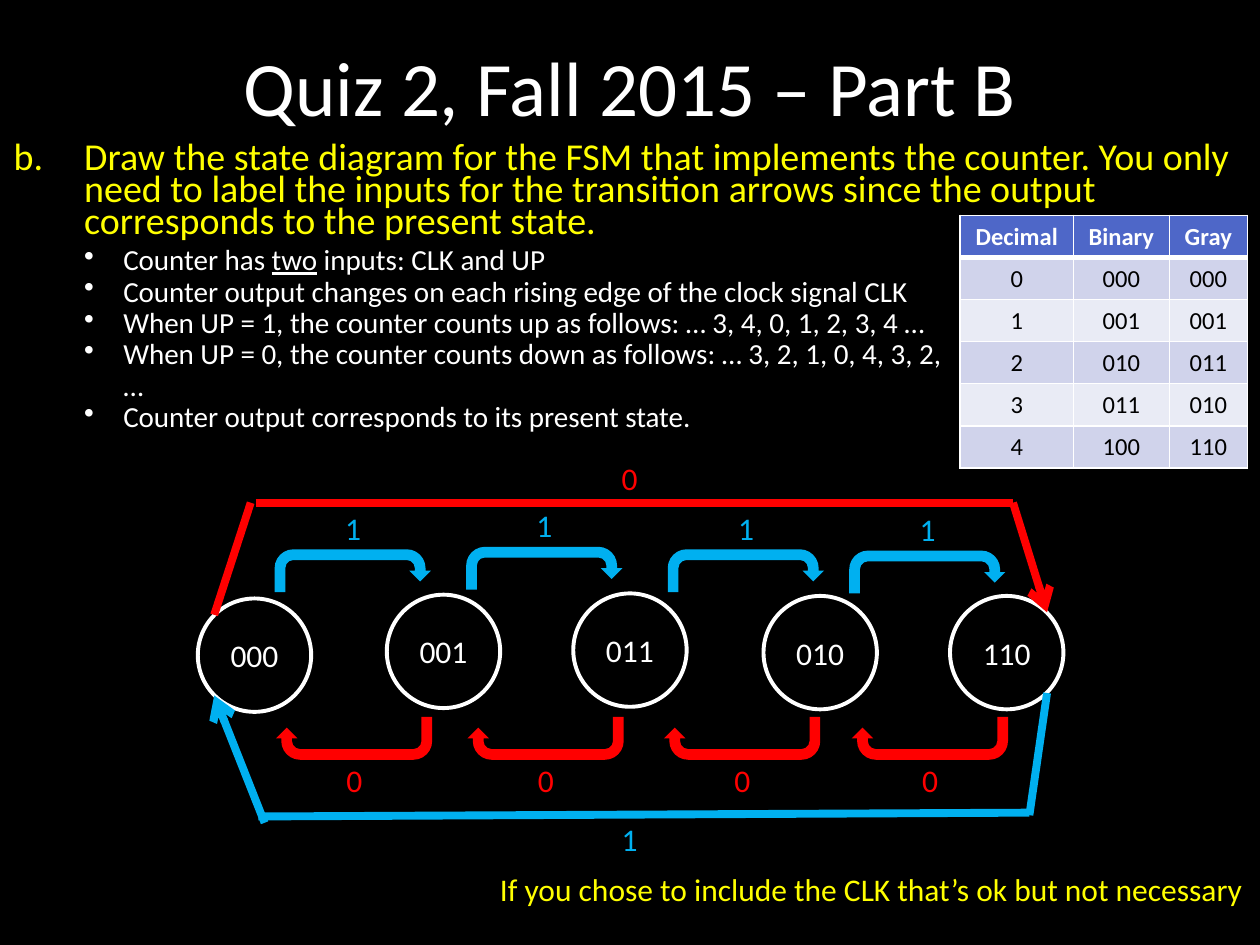
from lxml import etree
from pptx import Presentation
from pptx import util as u
from pptx.dml.color import RGBColor
from pptx.enum import shapes, text
from pptx.oxml import ns

WHITE, BLACK, YELLOW = "FFFFFF", "000000", "FFFF00"
BLUE, RED = "00B0F0", "FF0000"
HEADER, DARK_BAND, LIGHT_BAND = "4E67C8", "D0D3EB", "E9EBF5"


def color(value):
    return RGBColor.from_string(value)


def add_xml(parent, tag, **attributes):
    return etree.SubElement(parent, ns.qn(tag), attributes)


def style_paragraph(paragraph, size, font_color, align=text.PP_ALIGN.LEFT):
    paragraph.font.name = "Calibri"
    paragraph.font.size = u.Pt(size)
    paragraph.font.color.rgb = color(font_color)
    paragraph.alignment = align


def set_bullet(paragraph, margin, indent, tag, **attributes):
    properties = paragraph._p.get_or_add_pPr()
    properties.set("marL", str(u.Inches(margin)))
    properties.set("indent", str(u.Inches(indent)))
    bullet = etree.Element(ns.qn(tag), attributes)
    run_defaults = properties.find(ns.qn("a:defRPr"))
    run_defaults.addprevious(bullet)


def add_text(slide, box, content, size, font_color, align=text.PP_ALIGN.LEFT, wrap=True):
    shape = slide.shapes.add_textbox(*map(u.Inches, box))
    shape.text_frame.word_wrap = wrap
    paragraph = shape.text_frame.paragraphs[0]
    paragraph.text = content
    style_paragraph(paragraph, size, font_color, align)
    return shape


def add_title(slide, box):
    shape = add_text(slide, box, "Quiz 2, Fall 2015 – Part B", 44, WHITE, text.PP_ALIGN.CENTER)
    shape.text_frame.vertical_anchor = text.MSO_ANCHOR.MIDDLE
    shape.text_frame.paragraphs[0].line_spacing = 0.9


def add_question(slide, box):
    shape = add_text(
        slide, box,
        "Draw the state diagram for the FSM that implements the counter. You only need to label "
        "the inputs for the transition arrows since the output corresponds to the present state.",
        21.7, YELLOW)
    paragraph = shape.text_frame.paragraphs[0]
    paragraph.line_spacing = 0.7
    paragraph.space_before = u.Pt(10)
    set_bullet(paragraph, 0.57, -0.56, "a:buAutoNum", type="alphaLcPeriod", startAt="2")


def add_requirements(slide, box):
    items = [
        ["Counter has ", "two", " inputs: CLK and UP"],
        ["Counter output changes on each rising edge of the clock signal CLK"],
        ["When UP = 1, the counter counts up as follows: … 3, 4, 0, 1, 2, 3, 4 …"],
        ["When UP = 0, the counter counts down as follows: … 3, 2, 1, 0, 4, 3, 2, …"],
        ["Counter output corresponds to its present state."],
    ]
    frame = slide.shapes.add_textbox(*map(u.Inches, box)).text_frame
    frame.word_wrap = True
    for index, pieces in enumerate(items):
        paragraph = frame.add_paragraph() if index else frame.paragraphs[0]
        for piece in pieces:
            run = paragraph.add_run()
            run.text = piece
            if piece == "two":
                run.font.underline = True
        style_paragraph(paragraph, 16.6, WHITE)
        paragraph.line_spacing = 0.9
        set_bullet(paragraph, 0.31, -0.31, "a:buChar", char="•")


def set_borders(cell, bottom_width):
    properties = cell._tc.get_or_add_tcPr()
    widths = {"a:lnL": 1, "a:lnR": 1, "a:lnT": 1, "a:lnB": bottom_width}
    for position, (tag, width) in enumerate(widths.items()):
        border = etree.Element(ns.qn(tag), w=str(u.Pt(width)))
        add_xml(add_xml(border, "a:solidFill"), "a:srgbClr", val=WHITE)
        properties.insert(position, border)


def add_code_table(slide, box):
    rows = [
        ("Decimal", "Binary", "Gray"),
        ("0", "000", "000"),
        ("1", "001", "001"),
        ("2", "010", "011"),
        ("3", "011", "010"),
        ("4", "100", "110"),
    ]
    table = slide.shapes.add_table(len(rows), 3, *map(u.Inches, box)).table
    table.first_row = table.horz_banding = False
    for column, width in zip(table.columns, (0.9, 0.76, 0.62)):
        column.width = u.Inches(width)
    for row_index, values in enumerate(rows):
        is_header = row_index == 0
        fill = HEADER if is_header else (DARK_BAND if row_index % 2 else LIGHT_BAND)
        for column_index, value in enumerate(values):
            cell = table.cell(row_index, column_index)
            cell.text = value
            cell.fill.solid()
            cell.fill.fore_color.rgb = color(fill)
            paragraph = cell.text_frame.paragraphs[0]
            style_paragraph(paragraph, 14, WHITE if is_header else BLACK, text.PP_ALIGN.CENTER)
            paragraph.font.bold = is_header
            set_borders(cell, 3 if is_header else 1)


def add_label(slide, left, top, content, font_color):
    add_text(slide, (left, top, 0.33, 0.4), content, 18, font_color, wrap=False)


def add_state(slide, left, top, name):
    shape = slide.shapes.add_shape(
        shapes.MSO_SHAPE.OVAL, u.Inches(left), u.Inches(top), u.Inches(0.9), u.Inches(0.9))
    shape.shadow.inherit = False
    shape.fill.background()
    shape.line.color.rgb = color(WHITE)
    shape.line.width = u.Pt(2.25)
    shape.text_frame.text = name
    shape.text_frame.vertical_anchor = text.MSO_ANCHOR.MIDDLE
    style_paragraph(shape.text_frame.paragraphs[0], 18, WHITE, text.PP_ALIGN.CENTER)


def add_step(slide, left, top, label, step_color, rotation, label_offset):
    shape = slide.shapes.add_shape(
        shapes.MSO_SHAPE.U_TURN_ARROW, u.Inches(left), u.Inches(top), u.Inches(1.24), u.Inches(0.34))
    shape.rotation = rotation
    shape.shadow.inherit = False
    shape.fill.solid()
    shape.fill.fore_color.rgb = color(step_color)
    shape.line.fill.background()
    add_label(slide, left + 0.46, top + label_offset, label, step_color)


def add_line(slide, start, end, line_color, arrow=False):
    connector = slide.shapes.add_connector(
        shapes.MSO_CONNECTOR.STRAIGHT, *map(u.Inches, (*start, *end)))
    connector.line.color.rgb = color(line_color)
    connector.line.width = u.Pt(4.5)
    if arrow:
        add_xml(connector.line._get_or_add_ln(), "a:tailEnd", type="arrow")
    add_xml(connector._element.spPr, "a:effectLst")


def add_state_diagram(slide, box):
    left, top, width, height = box
    middle = left + width / 2 - 0.17
    states = [("000", 0, 1.16), ("001", 1.5, 1.13), ("011", 2.98, 1.12),
              ("010", 4.49, 1.14), ("110", 5.97, 1.14)]
    for name, x, y in states:
        add_state(slide, left + x, top + y, name)

    for x, y in [(0.61, 0.77), (2.13, 0.75), (3.73, 0.77), (5.17, 0.78)]:
        add_step(slide, left + x, top + y, "1", BLUE, 0, -0.37)
    for x in (0.62, 2.14, 3.7, 5.19):
        add_step(slide, left + x, top + 2.1, "0", RED, 180, 0.3)

    loops = [
        (BLUE, [((6.74, 1.91), (6.6, 2.88)), ((6.6, 2.86), (0.48, 2.89)),
                ((0.53, 2.94), (0.13, 1.93))]),
        (RED, [((0.13, 1.29), (0.42, 0.4)), ((0.46, 0.4), (6.47, 0.4)),
               ((6.47, 0.4), (6.74, 1.27))]),
    ]
    for loop_color, segments in loops:
        for index, segment in enumerate(segments):
            start, end = [(left + x, top + y) for x, y in segment]
            add_line(slide, start, end, loop_color, arrow=index == len(segments) - 1)
    add_label(slide, middle, top, "0", RED)
    add_label(slide, middle, top + height - 0.4, "1", BLUE)


def add_note(slide, box):
    add_text(slide, box, "If you chose to include the CLK that’s ok but not necessary",
             18, YELLOW, wrap=False)


def main():
    presentation = Presentation()
    presentation.slide_width = u.Inches(10)
    presentation.slide_height = u.Inches(7.5)
    slide = presentation.slides.add_slide(presentation.slide_layouts[6])
    slide.background.fill.solid()
    slide.background.fill.fore_color.rgb = color(BLACK)
    add_title(slide, (0.69, 0, 8.62, 1.45))
    add_question(slide, (0, 1.1, 10, 0.88))
    add_code_table(slide, (7.62, 1.71, 2.28, 2))
    add_state_diagram(slide, (1.57, 3.59, 6.87, 3.27))
    add_note(slide, (3.87, 6.86, 6.17, 0.4))
    add_requirements(slide, (0.57, 1.9, 7.05, 2.05))
    presentation.save("out.pptx")


if __name__ == "__main__":
    main()
